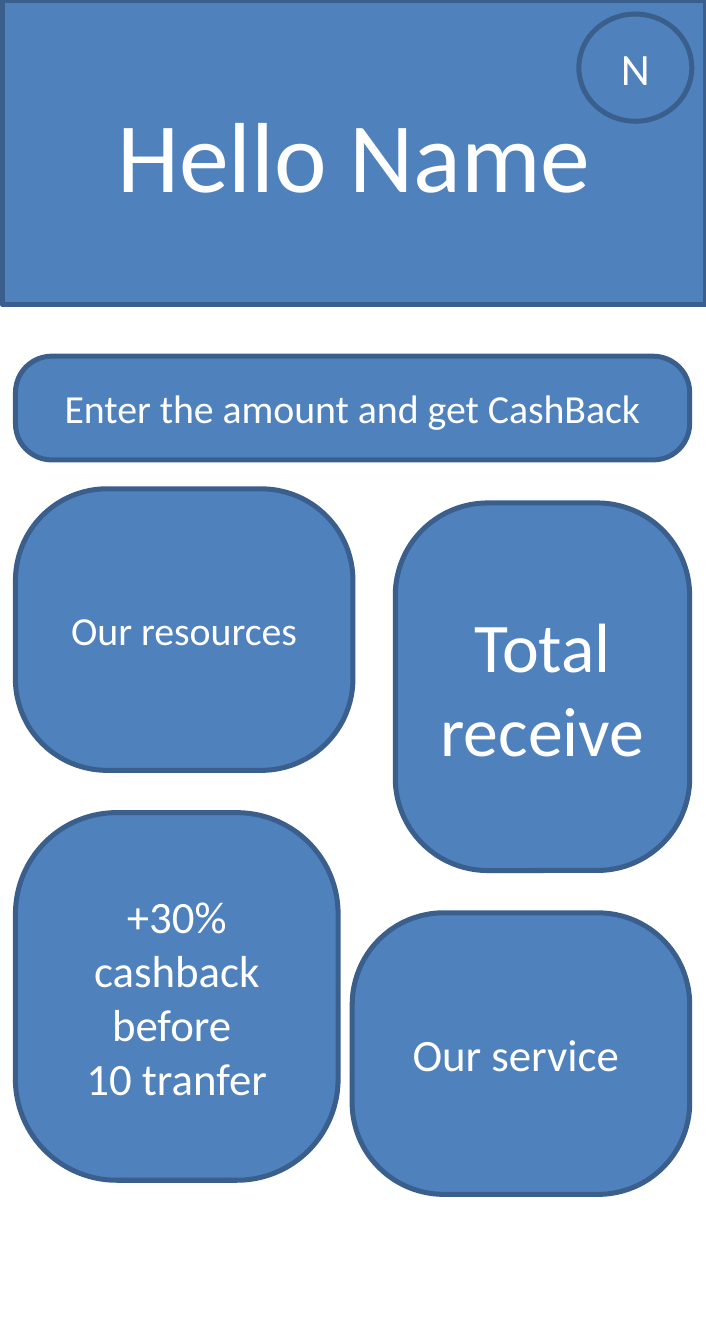
import pptx
import pptx.util
import pptx.dml.color
import pptx.enum.shapes
import pptx.enum.text
from dataclasses import dataclass

Cm = pptx.util.Cm
SHAPE = pptx.enum.shapes.MSO_SHAPE


@dataclass(frozen=True)
class Theme:
    font: str = "Calibri"
    fill: str = "4F81BD"
    edge: str = "3A5F8C"
    text: str = "FFFFFF"
    edge_width: int = 2
    title: int = 40
    large: int = 28
    medium: int = 18
    small: int = 16


theme = Theme()


def rgb(value):
    return pptx.dml.color.RGBColor.from_string(value)


def style(sp, text, size):
    """Fill, outline and centred text shared by every panel."""
    sp.fill.solid()
    sp.fill.fore_color.rgb = rgb(theme.fill)
    sp.line.color.rgb = rgb(theme.edge)
    sp.line.width = pptx.util.Pt(theme.edge_width)
    tf = sp.text_frame
    tf.text = text
    frame = {"word_wrap": True,
             "auto_size": pptx.enum.text.MSO_AUTO_SIZE.NONE,
             "vertical_anchor": pptx.enum.text.MSO_ANCHOR.MIDDLE}
    for name, value in frame.items():
        setattr(tf, name, value)
    for p in tf.paragraphs:
        p.alignment = pptx.enum.text.PP_ALIGN.CENTER
        for r in p.runs:
            for name, value in {"name": theme.font, "size": pptx.util.Pt(size)}.items():
                setattr(r.font, name, value)
            r.font.color.rgb = rgb(theme.text)


def add_panel(s, kind, box, text, size, corner=None):
    sp = s.shapes.add_shape(kind, *(Cm(v) for v in box))
    sp.shadow.inherit = False
    if corner is not None:
        sp.adjustments[0] = corner
    style(sp, text, size)


def add_header(s, box):
    """Greeting banner with the round initial at its top right."""
    left, top, width, height = box
    title = s.shapes.title
    for name, value in zip(("left", "top", "width", "height"), box):
        setattr(title, name, Cm(value))
    style(title, "Hello Name", theme.title)
    avatar = (left + width - 1.8, top + 0.2, 1.6, 1.52)
    add_panel(s, SHAPE.OVAL, avatar, "N", theme.medium)


def add_amount_bar(s, box):
    add_panel(s, SHAPE.ROUNDED_RECTANGLE, box,
              "Enter the amount and get CashBack", theme.small, 0.35)


def add_tiles(s, box, gap=0.6):
    """Two staggered columns, flush with the left and right edges of the box."""
    left, top, width, height = box
    wide, tall = (4.78, 3.99, 0.325), (4.17, 5.21, 0.314)
    offer = (4.57, 5.21, 0.314)
    columns = [
        (0, 0, [("Our resources", theme.small, wide),
                ("+30% cashback before \n10 tranfer", theme.medium, offer)]),
        (1, 0.2, [("Total receive", theme.large, tall),
                  ("Our service ", theme.medium, wide)]),
    ]
    for right_aligned, drop, tiles in columns:
        y = top + drop
        for text, size, (w, h, corner) in tiles:
            x = left + right_aligned * (width - w)
            add_panel(s, SHAPE.ROUNDED_RECTANGLE, (x, y, w, h), text, size, corner)
            y += h + gap


prs = pptx.Presentation()
prs.slide_width, prs.slide_height = Cm(10), Cm(19.05)
s = prs.slides.add_slide(prs.slide_layouts[5])

add_header(s, (0.03, 0, 9.97, 4.32))
add_amount_bar(s, (0.22, 5.05, 9.55, 1.47))
add_tiles(s, (0.22, 6.93, 9.55, 10))

prs.save("out.pptx")
